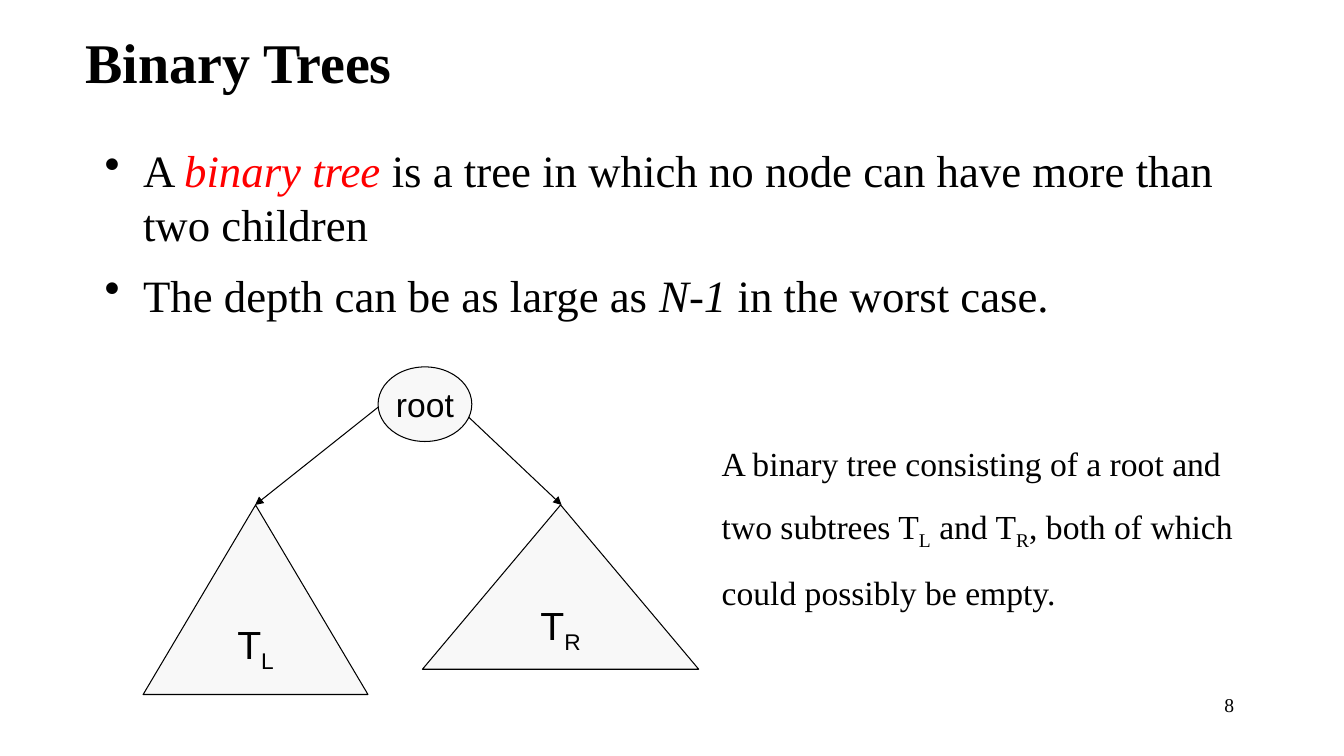
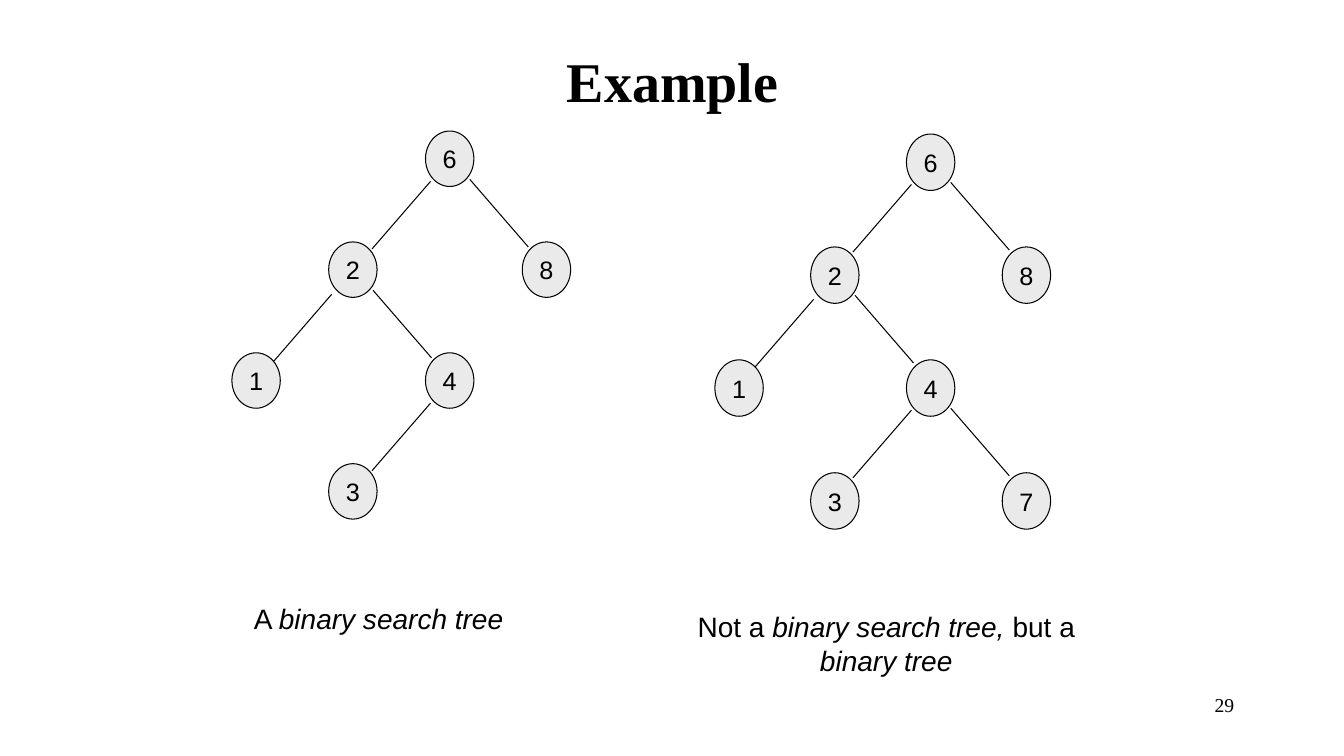
from dataclasses import dataclass

from lxml import etree
from pptx import Presentation
from pptx.dml.color import RGBColor
from pptx.enum.shapes import MSO_CONNECTOR, MSO_SHAPE
from pptx.enum.text import MSO_ANCHOR, PP_ALIGN
from pptx.oxml.ns import qn
from pptx.util import Inches, Pt

COLORS = {
    "paper": "FFFFFF",
    "ink": "000000",
    "accent": "FF0000",
    "subtree": "F8F8F8",
    "node": "EAEAEA",
}
SERIF = "Times New Roman"
SANS = "Arial"
LEFT, CENTER, RIGHT = PP_ALIGN.LEFT, PP_ALIGN.CENTER, PP_ALIGN.RIGHT
TOP, MIDDLE = MSO_ANCHOR.TOP, MSO_ANCHOR.MIDDLE
OVAL, TRIANGLE = MSO_SHAPE.OVAL, MSO_SHAPE.ISOSCELES_TRIANGLE
STRAIGHT = MSO_CONNECTOR.STRAIGHT
LINE_WIDTH = Pt(0.75)


@dataclass(frozen=True)
class Span:
    text: str
    italic: bool = False
    subscript: bool = False
    color: str = "ink"


@dataclass(frozen=True)
class Style:
    size: float
    font: str = SERIF
    bold: bool = False
    align: int = LEFT
    anchor: int = TOP
    spacing: float = 1.0
    bullet: bool = False
    wrap: bool = True


@dataclass(frozen=True)
class Part:
    kind: int
    area: tuple[float, float, float, float]
    size: float
    spans: list[Span]


@dataclass(frozen=True)
class Node:
    value: int
    column: int
    level: int
    parent: int | None = None
    nudge: float = 0


@dataclass(frozen=True)
class Tree:
    left: float
    top: float
    column_step: float
    level_step: float
    node_height: float
    nodes: list[Node]


TITLE = Style(40, bold=True, anchor=MIDDLE)
CENTERED_TITLE = Style(40, bold=True, align=CENTER, anchor=MIDDLE)
PAGE_NUMBER = Style(14, align=RIGHT)
BODY = Style(32, bullet=True)
REMARK = Style(24, spacing=1.5)
CAPTION = Style(20, SANS, wrap=False)
CENTERED_CAPTION = Style(20, SANS, align=CENTER)

DIAGRAM_PARTS = [
    Part(OVAL, (3.75, 3.64, 0.93, 0.74), 24, [Span("root")]),
    Part(TRIANGLE, (1.42, 5.01, 2.23, 1.88), 28, [Span("T"), Span("L", subscript=True)]),
    Part(TRIANGLE, (4.19, 5.01, 2.74, 1.63), 28, [Span("T"), Span("R", subscript=True)]),
]
DIAGRAM_ARROWS = [((3.75, 4.04), (2.53, 5.01)), ((4.65, 4.14), (5.57, 5.01))]

NODE_WIDTH = 0.48
EDGE_RUN, EDGE_DROP = 0.58, 0.67
SEARCH_NODES = [
    Node(6, 2, 0),
    Node(2, 1, 1, 6),
    Node(8, 3, 1, 6),
    Node(1, 0, 2, 2, 0.02),
    Node(4, 2, 2, 2),
    Node(3, 1, 3, 4),
]
SEARCH_TREE = Tree(2.3, 1.3, 0.96, 1.1, 0.55, SEARCH_NODES)
PLAIN_TREE = Tree(7.09, 1.33, 0.95, 1.12, 0.56, SEARCH_NODES + [Node(7, 3, 3, 4)])


def rgb(name: str) -> RGBColor:
    return RGBColor.from_string(COLORS[name])


def write_text(shape, style: Style, paragraphs: list[list[Span]]) -> None:
    frame = shape.text_frame
    frame.word_wrap = style.wrap
    frame.vertical_anchor = style.anchor
    for index, spans in enumerate(paragraphs):
        para = frame.add_paragraph() if index else frame.paragraphs[0]
        para.alignment = style.align
        para.line_spacing = style.spacing
        if index:
            para.space_before = Pt(12)
        if style.bullet:
            properties = para._p.get_or_add_pPr()
            properties.set("marL", str(Inches(0.38)))
            properties.set("indent", str(-Inches(0.38)))
            etree.SubElement(properties, qn("a:buChar")).set("char", "•")
        para.font.name = style.font
        para.font.size = Pt(style.size)
        para.font.bold = style.bold
        para.font.color.rgb = rgb("ink")
        for part in spans:
            span = para.add_run()
            span.text = part.text
            if part.italic:
                span.font.italic = True
            if part.color != "ink":
                span.font.color.rgb = rgb(part.color)
            if part.subscript:
                span.font._element.set("baseline", "-25000")


def add_text(page, area: tuple[float, float, float, float], style: Style,
             *paragraphs: list[Span]) -> None:
    box = page.shapes.add_textbox(*map(Inches, area))
    write_text(box, style, list(paragraphs))


def add_figure(group, part: Part, fill: str) -> None:
    shape = group.shapes.add_shape(part.kind, *map(Inches, part.area))
    shape.shadow.inherit = False
    shape.fill.solid()
    shape.fill.fore_color.rgb = rgb(fill)
    shape.line.color.rgb = rgb("ink")
    shape.line.width = LINE_WIDTH
    style = Style(part.size, SANS, align=CENTER, anchor=MIDDLE, wrap=False)
    write_text(shape, style, [part.spans])


def add_line(group, start: tuple[float, float], end: tuple[float, float],
             arrow: bool = False) -> None:
    line = group.shapes.add_connector(STRAIGHT, *map(Inches, start + end))
    line.line.color.rgb = rgb("ink")
    line.line.width = LINE_WIDTH
    if arrow:
        etree.SubElement(line.line._get_or_add_ln(), qn("a:tailEnd")).set("type", "triangle")
    etree.SubElement(line._element.spPr, qn("a:effectLst"))


def add_tree(page, tree: Tree) -> None:
    group = page.shapes.add_group_shape()
    corners = {
        node.value: (tree.left + node.column * tree.column_step,
                     tree.top + node.level * tree.level_step)
        for node in tree.nodes
    }
    for node in tree.nodes:
        x, y = corners[node.value]
        area = (x, y, NODE_WIDTH, tree.node_height)
        add_figure(group, Part(OVAL, area, 18, [Span(str(node.value))]), "node")
    for node in tree.nodes:
        if node.parent is None:
            continue
        parent_x, parent_y = corners[node.parent]
        goes_left = corners[node.value][0] < parent_x
        offset_x, offset_y, run = (0.05, 0.5, -EDGE_RUN) if goes_left else (0.44, 0.48, EDGE_RUN)
        x = parent_x + offset_x - node.nudge
        y = parent_y + offset_y + node.nudge
        add_line(group, (x, y), (x + run, y + EDGE_DROP))


def add_page(deck, title: str, area: tuple[float, float, float, float],
             style: Style, number: int):
    page = deck.slides.add_slide(deck.slide_layouts[6])
    page.background.fill.solid()
    page.background.fill.fore_color.rgb = rgb("paper")
    add_text(page, (9.56, 6.83, 2.78, 0.5), PAGE_NUMBER, [Span(str(number))])
    add_text(page, area, style, [Span(title)])
    return page


def build_binary_trees(deck) -> None:
    page = add_page(deck, "Binary Trees", (0.75, 0.19, 11.33, 0.83), TITLE, 8)
    add_text(
        page, (0.94, 1.37, 11.52, 1.65), BODY,
        [Span("A "), Span("binary tree ", italic=True, color="accent"),
         Span("is a tree in which no node can have more than two children")],
        [Span("The depth can be as large as "), Span("N-1", italic=True),
         Span(" in the worst case.")],
    )
    group = page.shapes.add_group_shape()
    for part in DIAGRAM_PARTS:
        add_figure(group, part, "subtree")
    for start, end in DIAGRAM_ARROWS:
        add_line(group, start, end, arrow=True)
    add_text(
        page, (7.06, 4.14, 5.27, 1.85), REMARK,
        [Span("A binary tree consisting of a root and two subtrees T"),
         Span("L", subscript=True), Span(" and T"), Span("R", subscript=True),
         Span(", both of which could possibly be empty.")],
    )


def build_example(deck) -> None:
    page = add_page(deck, "Example", (2.42, 0.5, 8.5, 0.58), CENTERED_TITLE, 29)
    for tree in (SEARCH_TREE, PLAIN_TREE):
        add_tree(page, tree)
    add_text(page, (2.42, 5.92, 2.69, 0.44), CAPTION,
             [Span("A "), Span("binary search tree", italic=True)])
    add_text(page, (6.5, 6, 4.58, 0.78), CENTERED_CAPTION,
             [Span("Not a "), Span("binary search tree, ", italic=True),
              Span("but a "), Span("binary tree", italic=True)])


def main() -> None:
    deck = Presentation()
    deck.slide_width, deck.slide_height = Inches(13.33), Inches(7.5)
    build_binary_trees(deck)
    build_example(deck)
    deck.save("out.pptx")


if __name__ == "__main__":
    main()
